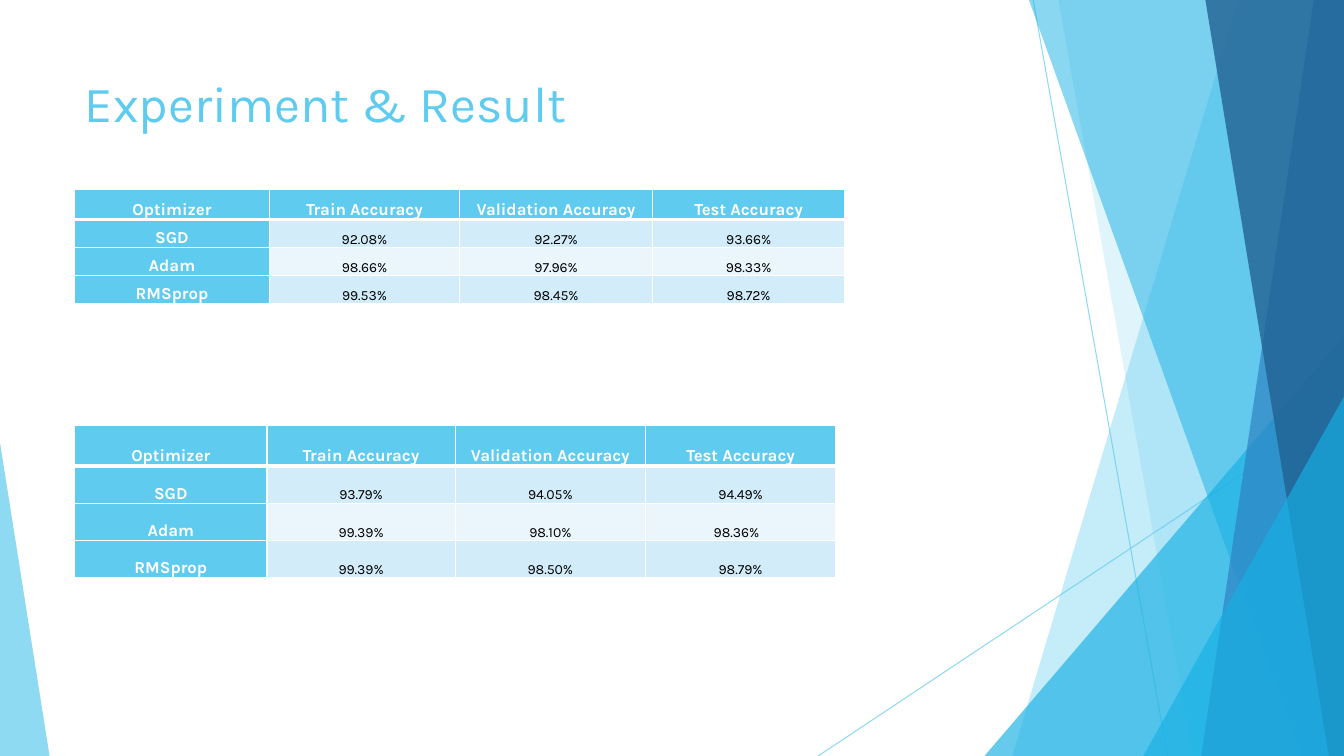
from dataclasses import dataclass

from lxml.etree import SubElement
from pptx import Presentation
from pptx.dml.color import RGBColor
from pptx.enum.shapes import MSO_CONNECTOR, MSO_SHAPE
from pptx.enum.text import MSO_ANCHOR, PP_ALIGN
from pptx.oxml.ns import qn
from pptx.util import Emu, Inches, Pt

COLS, ROWS = 160, 90


@dataclass(frozen=True)
class Theme:
    """Colours, font and type sizes of the slide."""
    font: str = "Karla"
    sky: str = "5FCBEF"
    cyan: str = "17B0E4"
    blue: str = "2E83C3"
    navy: str = "226292"
    band: str = "D2ECF9"
    pale: str = "EAF6FC"
    white: str = "FFFFFF"
    black: str = "000000"
    title: int = 36
    label: int = 12
    value: int = 10


T = Theme()
HEADER = ("Optimizer", "Train Accuracy", "Validation Accuracy", "Test Accuracy")
UPPER_RESULTS = (
    HEADER,
    ("SGD", "92.08%", "92.27%", "93.66%"),
    ("Adam", "98.66%", "97.96%", "98.33%"),
    ("RMSprop", "99.53%", "98.45%", "98.72%"),
)
LOWER_RESULTS = (
    HEADER,
    ("SGD", "93.79%", "94.05%", "94.49%"),
    ("Adam", "99.39%", "98.10%", "98.36%"),
    ("RMSprop", "99.39%", "98.50%", "98.79%"),
)


def grid(n):
    """Turn grid units of a twelfth of an inch into a length."""
    return Emu(round(n * Inches(1) / 12))


def write(tf, text, size, color, bold=False, align=PP_ALIGN.LEFT, spacing=None):
    """Put one formatted paragraph into a text frame."""
    p = tf.paragraphs[0]
    p.alignment = align
    p.line_spacing = spacing
    r = p.add_run()
    r.text = text
    r.font.name = T.font
    r.font.size = Pt(size)
    r.font.bold = bold
    r.font.color.rgb = RGBColor.from_string(color)


def set_alpha(shape, percent):
    """Make every direct colour of a shape translucent."""
    for clr in shape.element.spPr.iter(qn("a:srgbClr")):
        SubElement(clr, qn("a:alpha"), val=str(percent * 1000))


def paint(shape, color, alpha):
    """Give a shape a translucent fill without outline or shadow."""
    shape.shadow.inherit = False
    shape.fill.solid()
    shape.fill.fore_color.rgb = RGBColor.from_string(color)
    shape.line.fill.background()
    set_alpha(shape, alpha)


def add_hairline(s, x1, y1, x2, y2):
    """Draw a thin translucent line between two grid points."""
    line = s.shapes.add_connector(MSO_CONNECTOR.STRAIGHT, *map(grid, (x1, y1, x2, y2)))
    line.line.width = Pt(0.75)
    line.line.color.rgb = RGBColor.from_string(T.sky)
    SubElement(line.element.spPr, qn("a:effectLst"))
    set_alpha(line, 70)


def add_pane(s, top, bottom, color, alpha):
    """Fill from a slanted edge to the right side of the slide."""
    fb = s.shapes.build_freeform(grid(top), 0)
    corners = ((COLS, 0), (COLS, ROWS), (bottom, ROWS))
    fb.add_line_segments([(grid(x), grid(y)) for x, y in corners], close=True)
    paint(fb.convert_to_shape(), color, alpha)


def add_wedge(s, left, top, right, apex, color, alpha):
    """Stand a right triangle on the bottom edge of the slide."""
    box = map(grid, (left, top, right - left, ROWS - top))
    sp = s.shapes.add_shape(MSO_SHAPE.ISOSCELES_TRIANGLE, *box)
    sp.adjustments[0] = apex
    paint(sp, color, alpha)


def add_backdrop(s):
    """Layer the translucent facets at both sides."""
    add_hairline(s, 123, 0, 139, ROWS)
    add_hairline(s, COLS, 48.4, 97.4, ROWS)
    add_pane(s, 147.4, 120.5, T.sky, 36)
    add_pane(s, 126, 142, T.sky, 20)
    add_wedge(s, 117.2, 40, COLS, 1, T.cyan, 66)
    add_pane(s, 122.5, 154.9, T.cyan, 50)
    add_pane(s, 156.4, 143, T.blue, 70)
    add_pane(s, 143.5, 158.2, T.navy, 80)
    add_wedge(s, 136.1, 47.2, COLS, 1, T.cyan, 66)
    add_wedge(s, 0, 52.7, 5.9, 0, T.sky, 70)


def add_title(s, text, x, y, w, h):
    """Move the title placeholder into its box and fill it."""
    sp = s.shapes.title
    sp.left, sp.top, sp.width, sp.height = map(grid, (x, y, w, h))
    tf = sp.text_frame
    tf.word_wrap = True
    tf.vertical_anchor = MSO_ANCHOR.TOP
    write(tf, text, T.title, T.sky)


def set_borders(cell, top, bottom):
    """Rule a cell in white, with the given top and bottom widths."""
    tcPr = cell._tc.get_or_add_tcPr()
    for side, width in (("L", 1), ("R", 1), ("T", top), ("B", bottom)):
        ln = SubElement(tcPr, qn(f"a:ln{side}"), w=str(Pt(width)))
        SubElement(SubElement(ln, qn("a:solidFill")), qn("a:srgbClr"), val=T.white)


def format_cell(cell, text, row, col):
    """Style one result cell by its place in the table."""
    is_label = row == 0 or col == 0
    set_borders(cell, 3 if row == 1 else 1, 3 if row == 0 else 1)
    cell.fill.solid()
    fill = T.sky if is_label else T.band if row % 2 else T.pale
    cell.fill.fore_color.rgb = RGBColor.from_string(fill)
    cell.margin_left = cell.margin_right = cell.margin_top = cell.margin_bottom = 0
    cell.vertical_anchor = MSO_ANCHOR.BOTTOM
    write(cell.text_frame, text, T.label if is_label else T.value,
          T.white if is_label else T.black, bold=is_label, align=PP_ALIGN.CENTER,
          spacing=Pt(13.2) if row and is_label else 1.07)


def add_results(s, rows, x, y, w, h):
    """Fit a table of accuracies into a box and return it."""
    col_parts, row_parts = (1.01, 0.99, 1, 1), (1.08, 1, 1, 1)
    frame = s.shapes.add_table(len(rows), len(HEADER), *map(grid, (x, y, w, h)))
    table = frame.table
    table.first_col = True
    table.horz_banding = False
    for column, part in zip(table.columns, col_parts):
        column.width = grid(w * part / sum(col_parts))
    for row, part in zip(table.rows, row_parts):
        row.height = grid(h * part / sum(row_parts))
    for i, row in enumerate(rows):
        for j, text in enumerate(row):
            format_cell(table.cell(i, j), text, i, j)
    return table


def main():
    """Build and save the slide."""
    prs = Presentation()
    prs.slide_width, prs.slide_height = grid(COLS), grid(ROWS)
    s = prs.slides.add_slide(prs.slide_layouts[5])
    add_backdrop(s)
    add_title(s, "Experiment & Result", 8.9, 8, 112.8, 17.3)
    add_results(s, UPPER_RESULTS, 8.9, 22.5, 91.7, 13.7)
    lower = add_results(s, LOWER_RESULTS, 8.9, 50.7, 90.6, 18.1)
    lower.cell(2, 3).margin_right = grid(1)
    prs.save("out.pptx")


if __name__ == "__main__":
    main()
